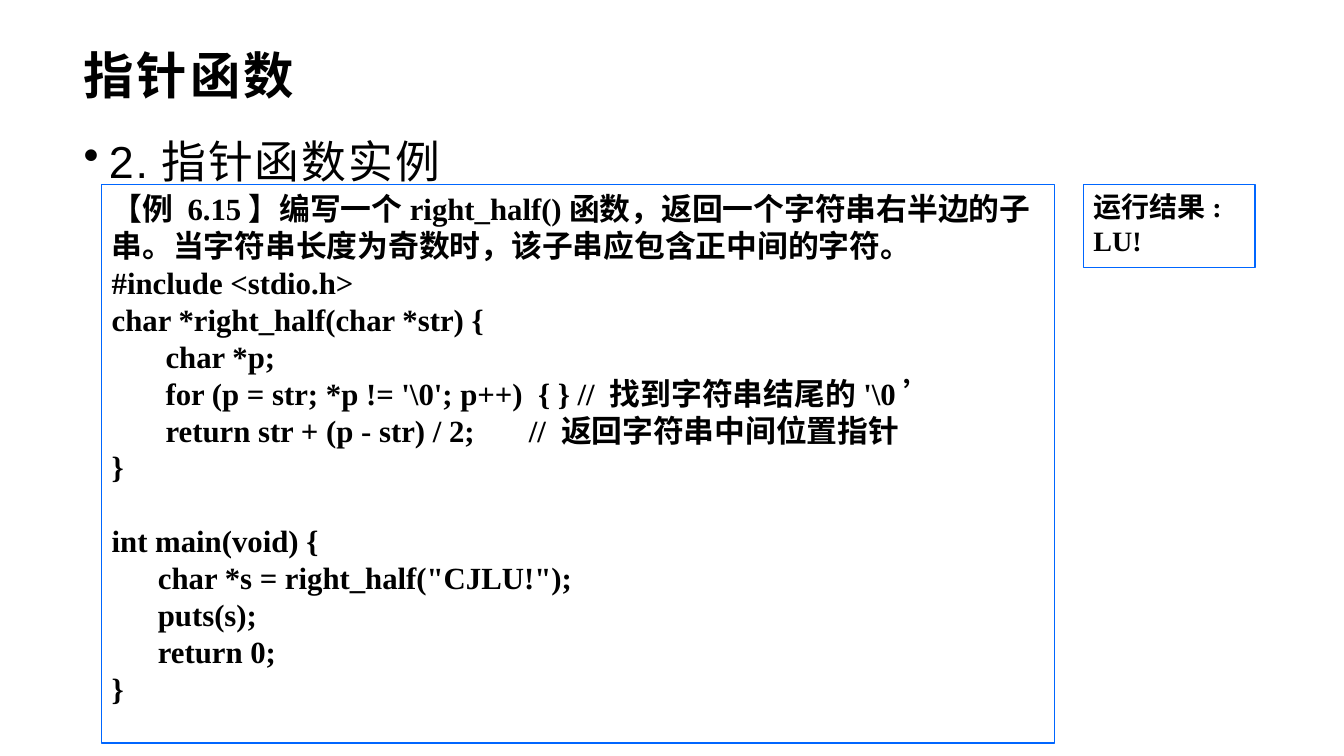
from lxml import etree
from pptx import Presentation
from pptx.dml.color import RGBColor
from pptx.enum.shapes import MSO_SHAPE
from pptx.enum.text import MSO_ANCHOR, PP_ALIGN
from pptx.oxml.ns import qn
from pptx.util import Pt

# Content
TITLE = "指针函数"
HEADING = "2.指针函数实例"
TASK = [
    "【例 6.15】编写一个right_half()函数，返回一个字符串右半边的子串。"
    "当字符串长度为奇数时，该子串应包含正中间的字符。",
]
RIGHT_HALF = [
    "#include <stdio.h>",
    "char *right_half(char *str) {",
    "\tchar *p;",
    "\tfor (p = str; *p != '\\0'; p++)  { } // 找到字符串结尾的'\\0’",
    "\treturn str + (p - str) / 2;\t// 返回字符串中间位置指针",
    "}",
]
MAIN = [
    "int main(void) {",
    "\tchar *s = right_half(\"CJLU!\");",
    "\tputs(s);",
    "\treturn 0;",
    "}",
]
RESULT = ["运行结果:", "LU!"]

# Style
BLACK = RGBColor(0, 0, 0)
WHITE = RGBColor(255, 255, 255)
BLUE = RGBColor(0x00, 0x66, 0xFF)
SANS, SERIF = "Arial", "Times New Roman"
CODE_SIZE, RESULT_SIZE = 22, 20
CODE_LINE = 26.4
RIGHT_HALF_TABS = (38.5, 298)
MAIN_TABS = (33,)
BOX_TOP = 131.9


def style(paragraph, face, size, bold):
    paragraph.alignment = PP_ALIGN.LEFT
    font = paragraph.font
    font.name, font.size, font.bold = face, Pt(size), bold
    font.color.rgb = BLACK


def space_letters(paragraph, points):
    for run in paragraph.runs:
        run.font._element.set("spc", str(int(points * 100)))


def set_tabs(paragraph, stops):
    tabs = etree.SubElement(paragraph._p.get_or_add_pPr(), qn("a:tabLst"))
    for stop in stops:
        etree.SubElement(tabs, qn("a:tab"), pos=str(Pt(stop)), algn="l")
    paragraph._p.pPr.insert_element_before(tabs, "a:defRPr", "a:extLst")


def add_box(left, width, height, lines, size):
    box = slide.shapes.add_shape(
        MSO_SHAPE.RECTANGLE, Pt(left), Pt(BOX_TOP), Pt(width), Pt(height))
    box.shadow.inherit = False
    box.fill.background()
    box.line.color.rgb = BLUE
    box.line.width = Pt(1)
    frame = box.text_frame
    frame.word_wrap = True
    frame.vertical_anchor = MSO_ANCHOR.TOP
    frame.text = "\n".join(lines)
    for paragraph in frame.paragraphs:
        style(paragraph, SERIF, size, True)
    return frame.paragraphs


deck = Presentation()
deck.slide_width, deck.slide_height = Pt(960), Pt(540)
slide = deck.slides.add_slide(deck.slide_layouts[5])
slide.background.fill.solid()
slide.background.fill.fore_color.rgb = WHITE

# Title
title = slide.shapes.title
title.left, title.top, title.width, title.height = Pt(52.6), Pt(31.7), Pt(854.6), Pt(43.2)
title.text_frame.text = TITLE
title.text_frame.vertical_anchor = MSO_ANCHOR.MIDDLE
style(title.text_frame.paragraphs[0], SANS, 36, True)
space_letters(title.text_frame.paragraphs[0], 2)

# Bulleted heading
heading = slide.shapes.add_textbox(Pt(52.6), Pt(80.6), Pt(877), Pt(445)).text_frame
heading.word_wrap = True
heading.text = HEADING
bullet = heading.paragraphs[0]
style(bullet, SANS, 32, False)
space_letters(bullet, 1.5)
bullet.line_spacing = 1.3
bullet.space_after = Pt(10)
bullet_props = bullet._p.get_or_add_pPr()
bullet_props.set("marL", str(Pt(18)))
bullet_props.set("indent", str(Pt(-18)))
mark = etree.SubElement(bullet_props, qn("a:buChar"), char="•")
bullet_props.insert_element_before(mark, "a:tabLst", "a:defRPr", "a:extLst")

# Program listing, with a gap before main()
program = add_box(72.7, 680.4, 398.9, TASK + RIGHT_HALF + MAIN, CODE_SIZE)
main_start = len(TASK + RIGHT_HALF)
program[main_start].space_before = Pt(CODE_LINE)
for number, line in enumerate(program):
    if "\t" in line.text:
        set_tabs(line, RIGHT_HALF_TABS if number < main_start else MAIN_TABS)

# Program output
add_box(774, 122.4, 59, RESULT, RESULT_SIZE)

deck.save("out.pptx")
